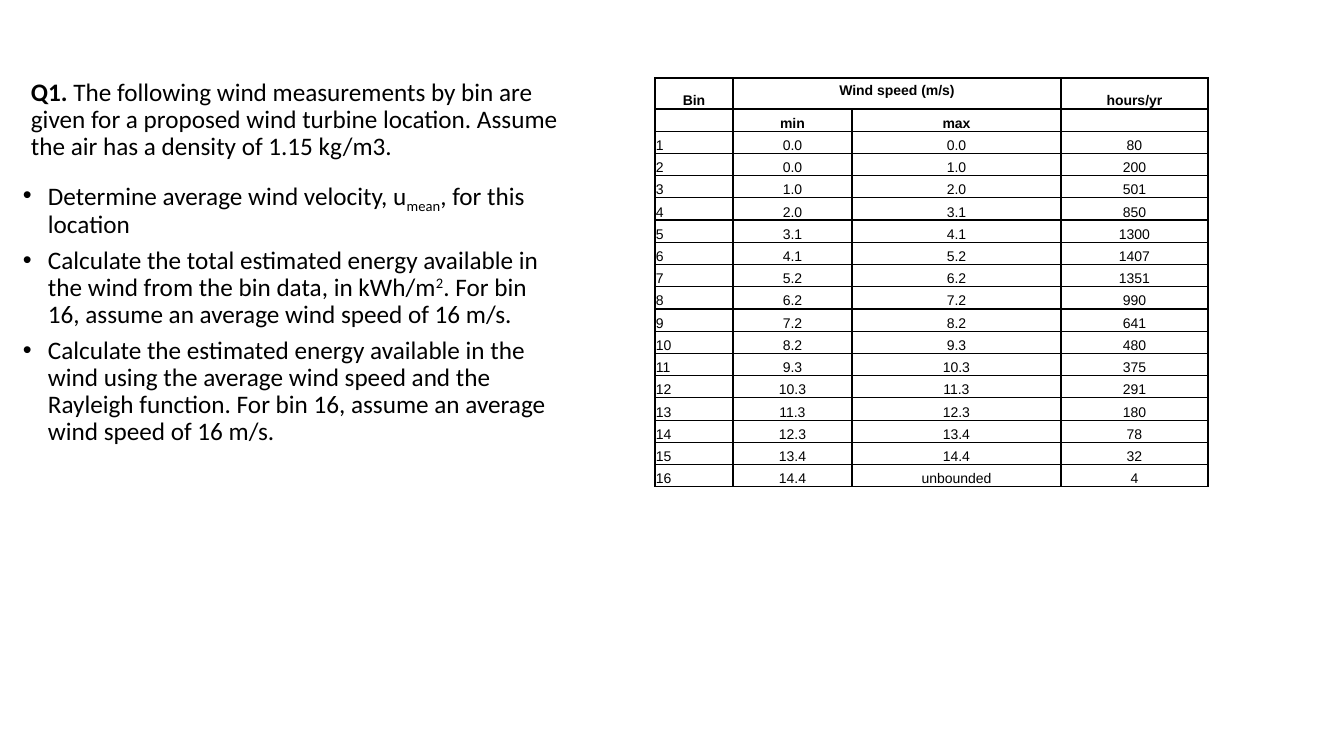
import pptx
import pptx.dml.color
import pptx.enum.text
import pptx.oxml.ns
import pptx.util
from lxml import etree

PX = 914400 / 100.8
HUES = {"ink": "000000"}
ALIGN = pptx.enum.text.PP_ALIGN
ANCHOR = pptx.enum.text.MSO_ANCHOR
QUERY = [
    ("Q1. ", {"bold": True}),
    ("The following wind measurements by bin are given for a proposed wind "
     "turbine location. Assume the air has a density of 1.15 kg/m3.", {}),
]
TASKS = [
    [("Determine average wind velocity, u", {}), ("mean", {"base": -25}),
     (", for this location", {})],
    [("Calculate the total estimated energy available in the wind from the "
      "bin data, in kWh/m", {}), ("2", {"base": 30}),
     (". For bin 16, assume an average wind speed of 16 m/s.", {})],
    [("Calculate the estimated energy available in the wind using the average "
      "wind speed and the Rayleigh function. For bin 16, assume an average "
      "wind speed of 16 m/s.", {})],
]
HEADS = [["Bin", "Wind speed (m/s)", "", "hours/yr"], ["", "min", "max", ""]]
EDGES = ["0.0", "0.0", "1.0", "2.0", "3.1", "4.1", "5.2", "6.2", "7.2", "8.2",
         "9.3", "10.3", "11.3", "12.3", "13.4", "14.4", "unbounded"]
HOURS = [80, 200, 501, 850, 1300, 1407, 1351, 990, 641, 480, 375, 291, 180,
         78, 32, 4]
WIDTHS = [78, 119, 209, 147]


def emu(px):
    return round(px * PX)


def node(root, tag, **attrs):
    item = etree.SubElement(root, pptx.oxml.ns.qn(tag))
    for key, value in attrs.items():
        item.set(key, str(value))
    return item


def write(para, text, size=18, face="Calibri", bold=False, base=0, hue="ink"):
    run = para.add_run()
    run.text = text
    font = run.font
    font.size = pptx.util.Pt(size)
    font.name = face
    font.bold = bold
    font.color.rgb = pptx.dml.color.RGBColor.from_string(HUES[hue])
    if base:
        font._element.set("baseline", str(base * 1000))


def dot(para):
    props = para._p.get_or_add_pPr()
    props.set("marL", str(emu(38)))
    props.set("indent", str(emu(-25)))
    node(props, "a:buFont", typeface="Arial")
    node(props, "a:buChar", char="•")


def block(slide, left, top, width, height, paras, listed=False):
    box = slide.shapes.add_textbox(*map(emu, (left, top, width, height)))
    frame = box.text_frame
    frame.word_wrap = True
    frame.vertical_anchor = ANCHOR.MIDDLE
    for i, parts in enumerate(paras):
        para = frame.add_paragraph() if i else frame.paragraphs[0]
        para.line_spacing = 0.9
        para.space_after = pptx.util.Pt(6)
        if listed:
            dot(para)
        for text, form in parts:
            write(para, text, **form)


def frame_cell(cell):
    props = cell._tc.get_or_add_tcPr()
    for side in ("L", "R", "T", "B"):
        line = node(props, "a:ln" + side, w=pptx.util.Pt(1))
        node(node(line, "a:solidFill"), "a:srgbClr", val=HUES["ink"])
    cell.fill.background()


def fill_cell(cell, text, bold, align, roomy):
    frame_cell(cell)
    pads = (10, 5, 10, 5) if roomy else (1, 1, 1, 0)
    (cell.margin_left, cell.margin_top,
     cell.margin_right, cell.margin_bottom) = map(emu, pads)
    cell.vertical_anchor = ANCHOR.TOP if roomy else ANCHOR.BOTTOM
    para = cell.text_frame.paragraphs[0]
    para.alignment = align
    para.space_after = pptx.util.Pt(6)
    if text:
        write(para, text, size=10, face="Arial", bold=bold)
    else:
        node(para._p, "a:endParaRPr", sz=1000)


def grid(slide, left, top, height, head):
    bins = [[str(i + 1), EDGES[i], EDGES[i + 1], str(hours)]
            for i, hours in enumerate(HOURS)]
    rows = HEADS + bins
    table = slide.shapes.add_table(
        len(rows), len(WIDTHS),
        *map(emu, (left, top, sum(WIDTHS), height))).table
    table.first_row = table.horz_banding = False
    for col, width in zip(table.columns, WIDTHS):
        col.width = emu(width)
    for r, row in enumerate(rows):
        table.rows[r].height = emu(
            (height - head) / (len(rows) - 1) if r else head)
        for c, text in enumerate(row):
            top_row = r < len(HEADS)
            align = ALIGN.CENTER if top_row or c else ALIGN.LEFT
            fill_cell(table.cell(r, c), text, top_row, align,
                      r == 0 and c in (1, 2))
    table.cell(0, 1).merge(table.cell(0, 2))


def main():
    deck = pptx.Presentation()
    deck.slide_width = emu(1344)
    deck.slide_height = emu(756)
    slide = deck.slides.add_slide(deck.slide_layouts[6])
    block(slide, 21, 28, 570, 185, [QUERY])
    block(slide, 0, 221, 570, 185, TASKS, listed=True)
    grid(slide, 655, 78, 409, 31)
    deck.save("out.pptx")


if __name__ == "__main__":
    main()
